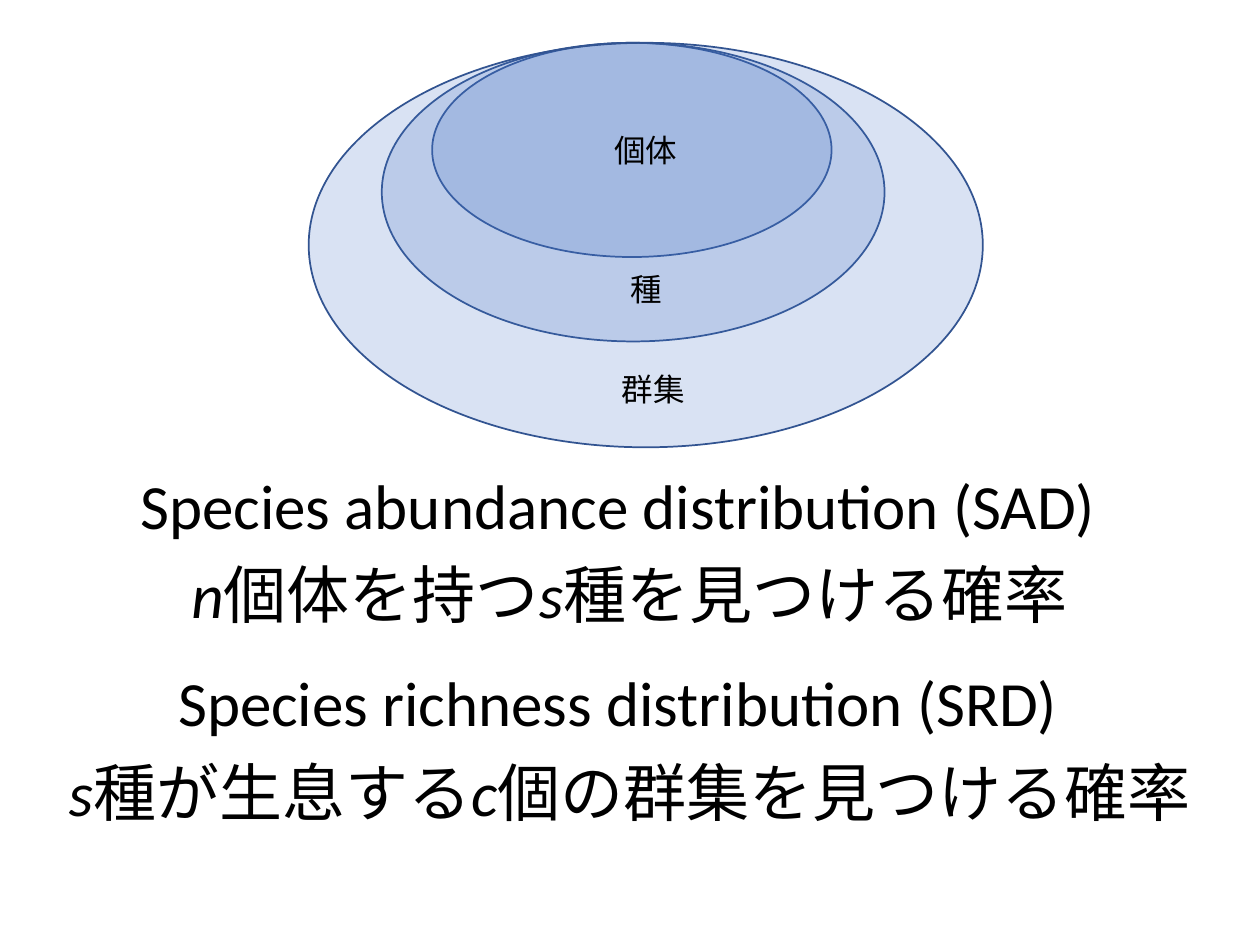
from pptx import Presentation
from pptx.dml.color import RGBColor
from pptx.enum import shapes, text
from pptx.oxml.ns import qn
from pptx.util import Inches, Pt
from lxml import etree

FONT = "Calibri"
ELLIPSE_TOP = 0.34
ELLIPSES = [(3.43, 3.17, 1.7), (3.03, 3.99, 2.37), (2.45, 5.35, 3.21)]
LABELS = [("個体", 3.52, 0.99), ("種", 3.52, 2.09), ("群集", 3.58, 2.89)]
DEFINITIONS = [
    (3.65, "Species abundance distribution (SAD)",
     [("n", True), ("個体を持つ", False), ("s", True), ("種を見つける確率", False)]),
    (5.22, "Species richness distribution (SRD)",
     [("s", True), ("種が生息する", False), ("c", True), ("個の群集を見つける確率", False)]),
]
LINE_HEIGHT = 0.71


def color(value):
    return RGBColor.from_string(value)


def add_ellipse(group, left, width, height):
    sp = group.shapes.add_shape(shapes.MSO_SHAPE.OVAL, Inches(left), Inches(ELLIPSE_TOP),
                                Inches(width), Inches(height))
    sp.shadow.inherit = False
    sp.fill.solid()
    sp.fill.fore_color.rgb = color("4472C4")
    clr = sp.fill._xPr.find(qn("a:solidFill")).find(qn("a:srgbClr"))
    etree.SubElement(clr, qn("a:alpha")).set("val", "20000")
    sp.line.color.rgb = color("325491")
    sp.line.width = Pt(1)


def add_text(s, runs, left, top, width, height, size):
    tf = s.shapes.add_textbox(Inches(left), Inches(top), Inches(width), Inches(height)).text_frame
    tf.word_wrap = True
    tf.auto_size = text.MSO_AUTO_SIZE.SHAPE_TO_FIT_TEXT
    p = tf.paragraphs[0]
    p.alignment = text.PP_ALIGN.CENTER
    p.font.name = FONT
    p.font.size = Pt(size)
    p.font.color.rgb = color("000000")
    for words, italic in runs:
        r = p.add_run()
        r.text = words
        if italic:
            r.font.italic = True


def main():
    prs = Presentation()
    prs.slide_width, prs.slide_height = Inches(10), Inches(7.5)
    s = prs.slides.add_slide(prs.slide_layouts[6])

    group = s.shapes.add_group_shape()
    for ellipse in ELLIPSES:
        add_ellipse(group, *ellipse)
    for label, left, top in LABELS:
        add_text(s, [(label, False)], left, top, 3.21, 0.4, 18)
    for top, name, meaning in DEFINITIONS:
        add_text(s, [(name, False)], 0.11, top, 9.59, LINE_HEIGHT, 36)
        add_text(s, meaning, 0.2, top + LINE_HEIGHT, 9.59, LINE_HEIGHT, 36)

    prs.save("out.pptx")


if __name__ == "__main__":
    main()
